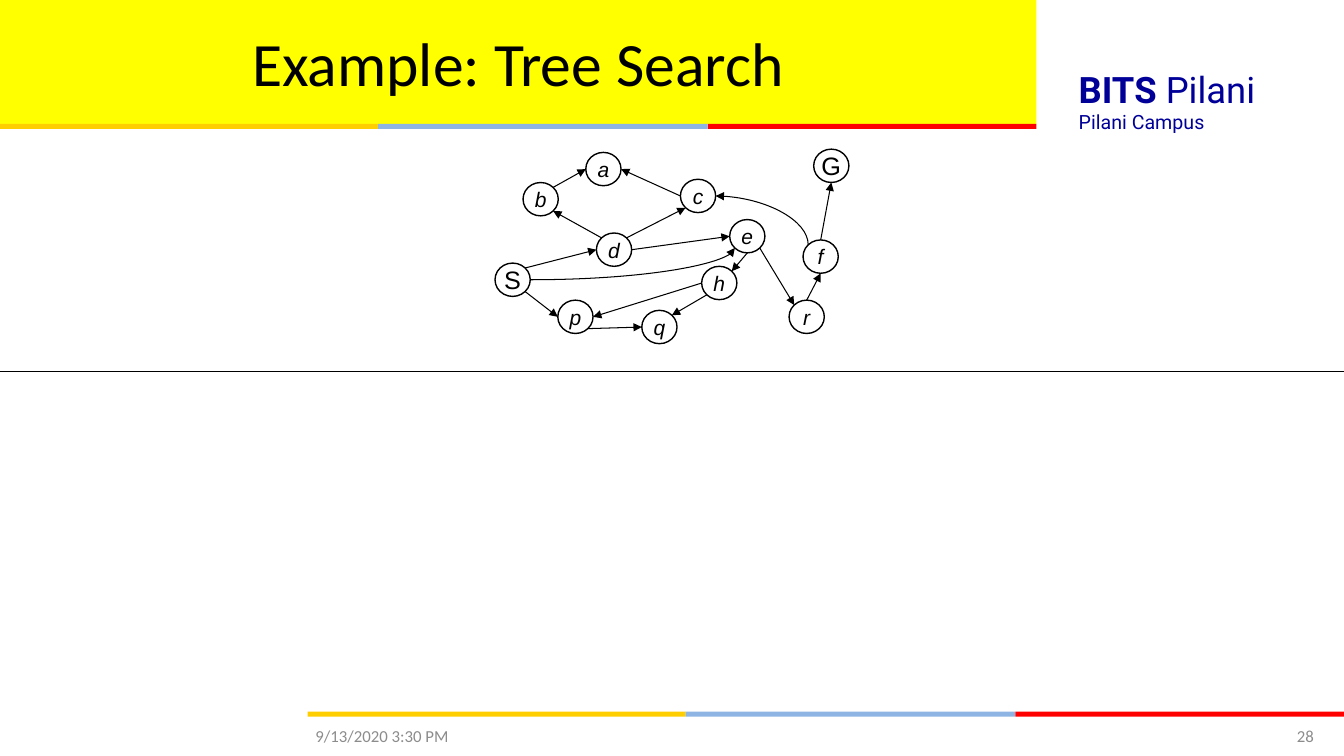
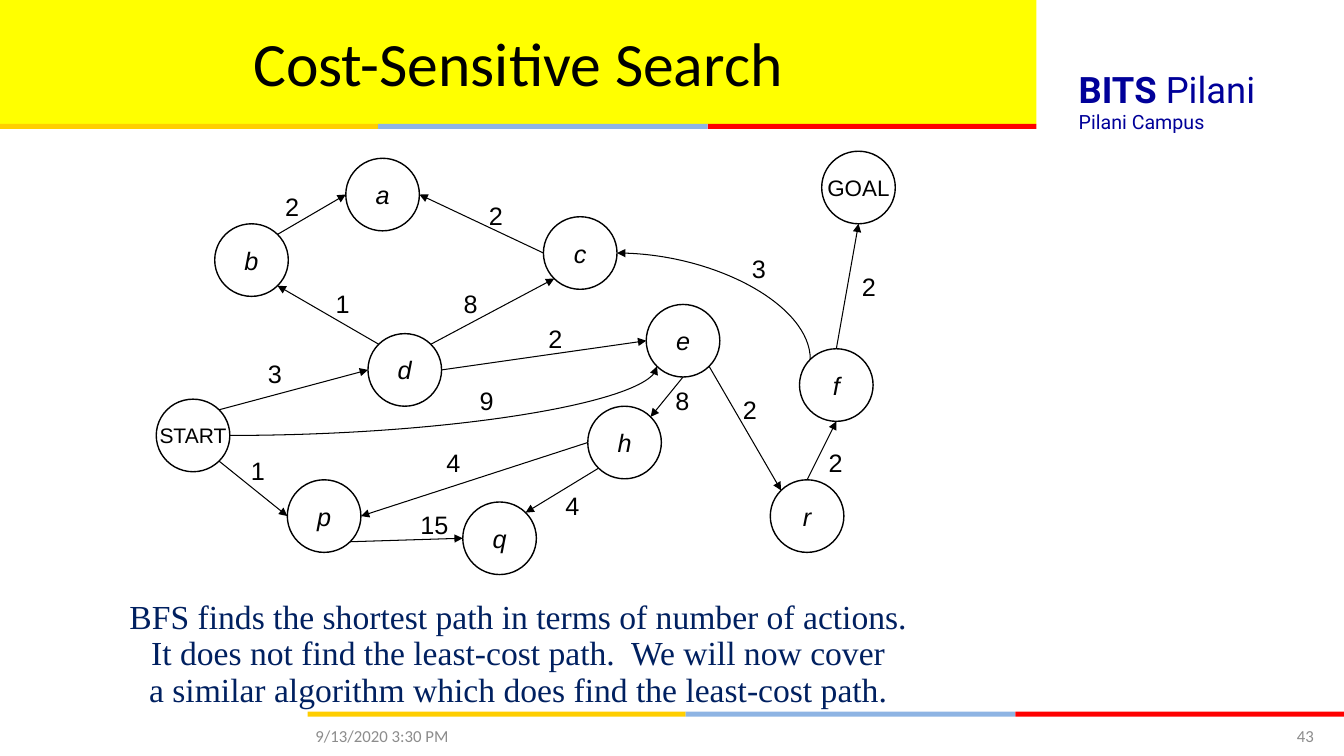
from math import cos, pi, sin

from lxml.etree import SubElement
from pptx import Presentation
from pptx.dml.color import RGBColor
from pptx.enum.shapes import MSO_CONNECTOR, MSO_SHAPE
from pptx.enum.text import MSO_ANCHOR, PP_ALIGN
from pptx.oxml.ns import qn
from pptx.util import Pt

PX = 9144
SLIDE_W, SLIDE_H = 1333, 750
YELLOW, BLACK, NAVY, GREY, INK = "FFFF00", "000000", "000099", "8C8C8C", "002060"
STRIPE = (("FFCE00", 375), ("8EB4E3", 327), ("FF0000", 326))
TITLE_W, TITLE_H, STRIPE_H = 1028, 123, 5

GRAPH_W, GRAPH_H = 733, 420
NODE_W, NODE_H = 73, 72
NODES = {
    "S": (0, 246), "G": (660, 0), "d": (210, 181), "b": (58, 72),
    "p": (130, 326), "q": (304, 348), "c": (384, 65), "e": (486, 152),
    "h": (428, 253), "a": (188, 7), "f": (638, 196), "r": (609, 326),
}
TOP, TOP_LEFT, LEFT, BOTTOM_LEFT, BOTTOM, BOTTOM_RIGHT, RIGHT, TOP_RIGHT = range(8)
EDGES = (
    ("S", BOTTOM_RIGHT, "p", LEFT, "1", (84, 297)),
    ("p", BOTTOM_RIGHT, "q", LEFT, "15", (252, 350)),
    ("h", BOTTOM_LEFT, "q", TOP_RIGHT, "4", (396, 332)),
    ("h", LEFT, "p", RIGHT, "4", (278, 289)),
    ("e", BOTTOM, "h", TOP_RIGHT, "8", (505, 227)),
    ("e", BOTTOM_RIGHT, "r", TOP_LEFT, "2", (572, 236)),
    ("r", TOP, "f", BOTTOM, "2", (657, 289)),
    ("f", TOP, "G", BOTTOM, "2", (690, 114)),
    ("S", TOP_RIGHT, "d", LEFT, "3", (101, 201)),
    ("d", TOP_LEFT, "b", BOTTOM_RIGHT, "1", (168, 131)),
    ("b", TOP_RIGHT, "a", LEFT, "2", (118, 35)),
    ("c", LEFT, "a", RIGHT, "2", (320, 44)),
    ("d", TOP_RIGHT, "c", BOTTOM_LEFT, "8", (295, 131)),
    ("d", RIGHT, "e", LEFT, "2", (379, 166)),
    ("f", TOP_LEFT, "c", RIGHT, "3", (581, 96)),
    ("S", RIGHT, "e", BOTTOM_LEFT, "9", (311, 227)),
)
CURVED = {("f", "c"): 90, ("S", "e"): 0}


def px(*lengths):
    """Turn px lengths into whole EMU."""
    return [round(length * PX) for length in lengths]


def rgb(value):
    """Turn a hex string into a colour."""
    return RGBColor.from_string(value)


def write(shape, *lines, size, font="Arial", color=BLACK, align=PP_ALIGN.LEFT,
          anchor=MSO_ANCHOR.TOP, wrap=True, italic=False, bold_lead="",
          spacing=None, margin=None):
    """Write one paragraph per line into a shape, with an optional bold lead."""
    frame = shape.text_frame
    frame.word_wrap = wrap
    frame.vertical_anchor = anchor
    if margin is not None:
        frame.margin_left = frame.margin_right = margin
        frame.margin_top = frame.margin_bottom = margin
    for index, line in enumerate(lines):
        paragraph = frame.add_paragraph() if index else frame.paragraphs[0]
        paragraph.alignment = align
        paragraph.line_spacing = spacing
        for words, bold in ((bold_lead, True), (line, False)):
            if words:
                run = paragraph.add_run()
                run.text = words
                run.font.name, run.font.size = font, Pt(size)
                run.font.color.rgb = rgb(color)
                run.font.bold, run.font.italic = bold, italic


def text_box(slide, box, *lines, **style):
    """Add a text box and write its lines."""
    write(slide.shapes.add_textbox(*px(*box)), *lines, **style)


def band(slide, box, color):
    """Add a plain filled rectangle."""
    bar = slide.shapes.add_shape(MSO_SHAPE.RECTANGLE, *px(*box))
    bar.shadow.inherit = False
    bar.fill.solid()
    bar.fill.fore_color.rgb = rgb(color)
    bar.line.fill.background()


def stripe(slide, left, top):
    """Lay the three coloured bars end to end."""
    for color, width in STRIPE:
        band(slide, (left, top, width, STRIPE_H), color)
        left += width


def rule(slide, start, end, kind=MSO_CONNECTOR.STRAIGHT):
    """Draw a thin black line without a shadow."""
    line = slide.shapes.add_connector(kind, *px(*start, *end))
    line.line.color.rgb = rgb(BLACK)
    line.line.width = Pt(0.75)
    SubElement(line.element.spPr, qn("a:effectLst"))
    return line


def page(deck, title, number):
    """Add a slide with the shared title band, campus name and footer."""
    slide = deck.slides.add_slide(deck.slide_layouts[6])
    stripe(slide, SLIDE_W - TITLE_W, 706)
    band(slide, (0, 0, TITLE_W, TITLE_H), YELLOW)
    stripe(slide, 0, TITLE_H)
    text_box(slide, (1060, 62, 270, 54), "Pilani", bold_lead="BITS ",
             size=26, font="Roboto", color=NAVY)
    text_box(slide, (1060, 104, 239, 34), "Pilani Campus",
             size=14, font="Roboto", color=NAVY)
    text_box(slide, (0, 0, TITLE_W, TITLE_H), title, size=44, font="Calibri",
             align=PP_ALIGN.CENTER, anchor=MSO_ANCHOR.MIDDLE)
    footer = dict(size=12, font="Calibri", color=GREY, anchor=MSO_ANCHOR.MIDDLE)
    text_box(slide, (303, 710, 311, 40), "9/13/2020 3:30 PM", **footer)
    text_box(slide, (1167, 710, 146, 40), number, align=PP_ALIGN.RIGHT, **footer)
    return slide


def site_point(node, site):
    """Find one of the eight sites on a node, counted anticlockwise from the top."""
    angle = pi / 2 + site * pi / 4
    x = node.left + node.width / 2 * (1 + cos(angle))
    y = node.top + node.height / 2 * (1 - sin(angle))
    return x / PX, y / PX


def quarter_turn_back(start, end):
    """Turn both ends a quarter anticlockwise about their midpoint."""
    mid_x, mid_y = (start[0] + end[0]) / 2, (start[1] + end[1]) / 2
    return [(mid_x + y - mid_y, mid_y - x + mid_x) for x, y in (start, end)]


def arrow(slide, source, source_site, target, target_site, turn=None):
    """Join two nodes by an arrow, curved when a turn in degrees is given."""
    start, end = site_point(source, source_site), site_point(target, target_site)
    if turn:
        start, end = quarter_turn_back(start, end)
    kind = MSO_CONNECTOR.STRAIGHT if turn is None else MSO_CONNECTOR.CURVE
    edge = rule(slide, start, end, kind)
    properties = edge.element.spPr
    SubElement(properties.find(qn("a:ln")), qn("a:tailEnd"), type="triangle")
    if turn is not None:
        properties.find(qn("a:prstGeom")).set("prst", "curvedConnector2")
        properties.find(qn("a:xfrm")).set("rot", str(turn * 60000))
    joints = next(edge.element.iter(qn("p:cNvCxnSpPr")))
    for tag, node, site in (("a:stCxn", source, source_site),
                            ("a:endCxn", target, target_site)):
        SubElement(joints, qn(tag), id=str(node.shape_id), idx=str(site))


def search_graph(slide, box, terminals, letter_size, costs=False):
    """Draw the search graph in a box, with step costs on request."""
    left, top, width, height = box
    scale_x, scale_y = width / GRAPH_W, height / GRAPH_H
    placed = {}
    for key, (x, y) in NODES.items():
        node = slide.shapes.add_shape(
            MSO_SHAPE.FLOWCHART_CONNECTOR,
            *px(left + x * scale_x, top + y * scale_y, NODE_W * scale_x, NODE_H * scale_y))
        node.shadow.inherit = False
        node.fill.background()
        node.line.color.rgb = rgb(BLACK)
        node.line.width = Pt(1)
        name, size = terminals.get(key, (key, letter_size))
        write(node, name, size=size, italic=key not in terminals, wrap=False,
              align=PP_ALIGN.CENTER, anchor=MSO_ANCHOR.MIDDLE, margin=0)
        placed[key] = node
    for source, source_site, target, target_site, cost, (x, y) in EDGES:
        arrow(slide, placed[source], source_site, placed[target], target_site,
              CURVED.get((source, target)))
        if costs:
            text_box(slide, (left + x * scale_x, top + y * scale_y, 17 + 17 * len(cost), 40),
                     cost, size=18)


def tree_search(deck):
    """Build the tree search example above its dividing line."""
    slide = page(deck, "Example: Tree Search", "28")
    rule(slide, (0, 369), (SLIDE_W, 369))
    search_graph(slide, (491, 148, 351, 193), {"S": ("S", 18), "G": ("G", 18)}, 15)


def cost_sensitive_search(deck):
    """Build the graph with step costs and the remark below it."""
    slide = page(deck, "Cost-Sensitive Search", "43")
    text_box(slide, (0, 591, TITLE_W, 143),
             "BFS finds the shortest path in terms of number of actions.",
             "It does not find the least-cost path.  We will now cover",
             "a similar algorithm which does find the least-cost path.",
             size=24, font="Times New Roman", color=INK,
             align=PP_ALIGN.CENTER, spacing=0.9)
    search_graph(slide, (155, 150, GRAPH_W, GRAPH_H),
                 {"S": ("START", 15), "G": ("GOAL", 16)}, 18, costs=True)


def main():
    """Build and save the deck."""
    deck = Presentation()
    deck.slide_width, deck.slide_height = px(SLIDE_W, SLIDE_H)
    tree_search(deck)
    cost_sensitive_search(deck)
    deck.save("out.pptx")


if __name__ == "__main__":
    main()
